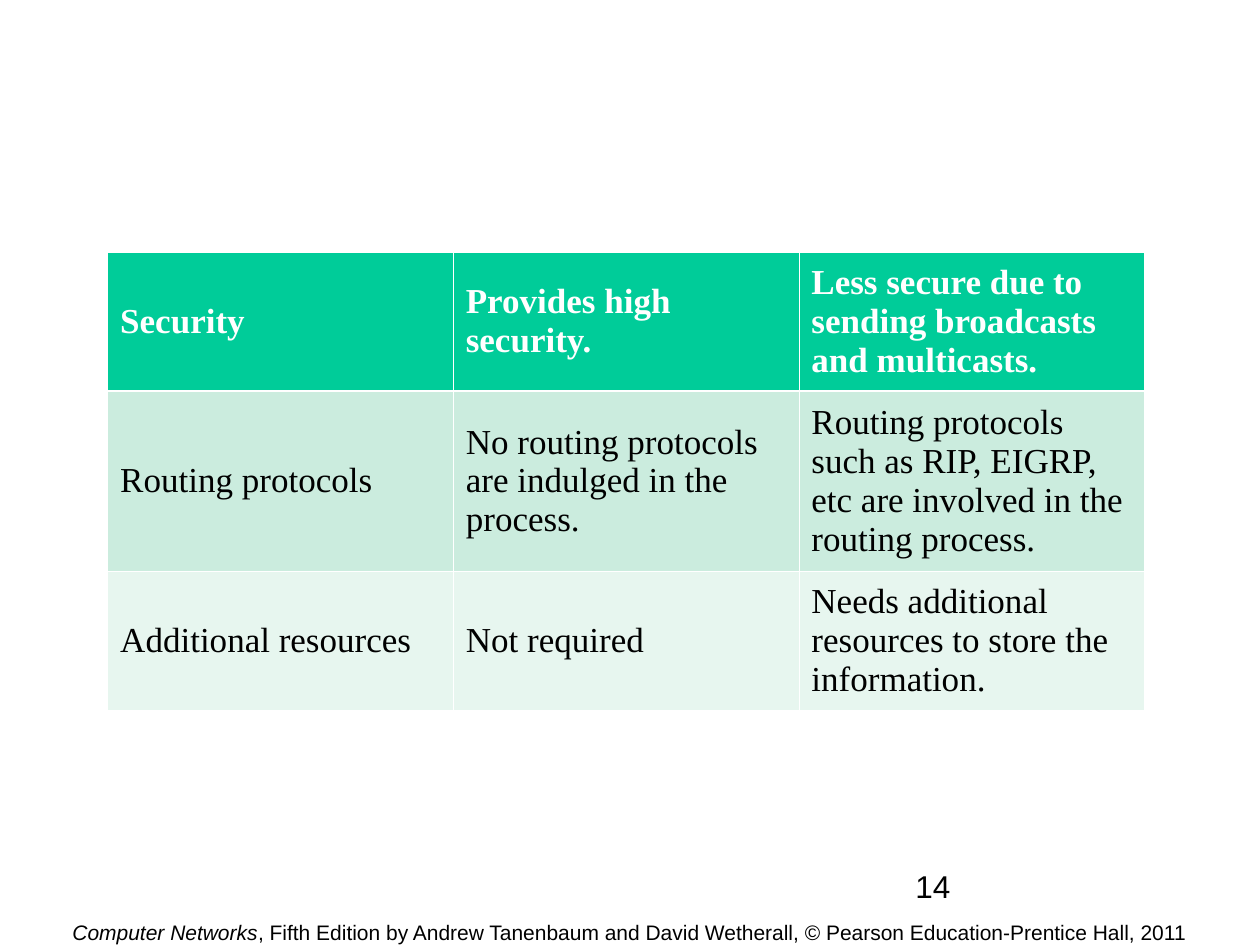
from lxml import etree
from pptx import Presentation
from pptx.dml.color import RGBColor
from pptx.enum.text import MSO_ANCHOR, PP_ALIGN
from pptx.oxml.ns import qn
from pptx.util import Pt

MIDDLE = MSO_ANCHOR.MIDDLE
LEFT, CENTER = PP_ALIGN.LEFT, PP_ALIGN.CENTER

BLACK = RGBColor(0x00, 0x00, 0x00)
WHITE = RGBColor(0xFF, 0xFF, 0xFF)
HEADER_GREEN = RGBColor(0x00, 0xCC, 0x99)
BAND_GREEN = RGBColor(0xCB, 0xEC, 0xDE)
PALE_GREEN = RGBColor(0xE7, 0xF6, 0xEF)

THIN, THICK = 0.45, 1.47
ROW_FILLS = [HEADER_GREEN, BAND_GREEN, PALE_GREEN]
ROW_HEIGHTS = [79.2, 102.8, 79.2]
ROWS = [
    ["Security", "Provides high security.",
     "Less secure due to sending broadcasts and multicasts."],
    ["Routing protocols", "No routing protocols are indulged in the process.",
     "Routing protocols such as RIP, EIGRP, etc are involved in the routing process."],
    ["Additional resources", "Not required",
     "Needs additional resources to store the information."],
]


def add_run(paragraph, text, font_name, size, color=BLACK, bold=False, italic=False):
    run = paragraph.add_run()
    run.text = text
    run.font.name = font_name
    run.font.size = Pt(size)
    run.font.color.rgb = color
    run.font.bold = bold
    run.font.italic = italic


def set_borders(cell, top, bottom):
    """Give the cell white borders; the side borders are always thin."""
    properties = cell._tc.get_or_add_tcPr()
    widths = {"a:lnL": THIN, "a:lnR": THIN, "a:lnT": top, "a:lnB": bottom}
    for position, (tag, width) in enumerate(widths.items()):
        line = etree.Element(qn(tag), w=str(int(Pt(width))))
        fill = etree.SubElement(line, qn("a:solidFill"))
        etree.SubElement(fill, qn("a:srgbClr"), val=str(WHITE))
        properties.insert(position, line)


def add_comparison_table(slide, left, top, width):
    columns = len(ROWS[0])
    frame = slide.shapes.add_table(len(ROWS), columns, Pt(left), Pt(top),
                                   Pt(width), Pt(sum(ROW_HEIGHTS)))
    table = frame.table
    for column in table.columns:
        column.width = Pt(width / columns)
    for index, (texts, height, fill) in enumerate(zip(ROWS, ROW_HEIGHTS, ROW_FILLS)):
        table.rows[index].height = Pt(height)
        is_header = index == 0
        for cell, text in zip(table.rows[index].cells, texts):
            cell.vertical_anchor = MIDDLE
            cell.fill.solid()
            cell.fill.fore_color.rgb = fill
            set_borders(cell, THICK if index == 1 else THIN,
                        THICK if is_header else THIN)
            add_run(cell.text_frame.paragraphs[0], text, "Times New Roman", 20,
                    WHITE if is_header else BLACK, bold=is_header)


def add_text_line(slide, left, top, width, height, alignment):
    """Add a text box and return its empty paragraph."""
    box = slide.shapes.add_textbox(Pt(left), Pt(top), Pt(width), Pt(height))
    box.text_frame.word_wrap = True
    paragraph = box.text_frame.paragraphs[0]
    paragraph.alignment = alignment
    return paragraph


def add_footer(slide, left, top, width, height):
    paragraph = add_text_line(slide, left, top, width, height, CENTER)
    add_run(paragraph, "Computer Networks", "Arial", 12, italic=True)
    add_run(paragraph, ", Fifth Edition by Andrew Tanenbaum and David Wetherall, "
            "© Pearson Education-Prentice Hall, 2011", "Arial", 12)


def add_page_number(slide, left, top, width, height):
    paragraph = add_text_line(slide, left, top, width, height, LEFT)
    add_run(paragraph, "14", "Arial", 18)


def main():
    presentation = Presentation()
    presentation.slide_width = Pt(720)
    presentation.slide_height = Pt(540)
    slide = presentation.slides.add_slide(presentation.slide_layouts[6])
    add_footer(slide, 0, 522, 720, 18)
    add_comparison_table(slide, 61.5, 144, 592.5)
    add_page_number(slide, 516, 492, 150, 36)
    presentation.save("out.pptx")


if __name__ == "__main__":
    main()
